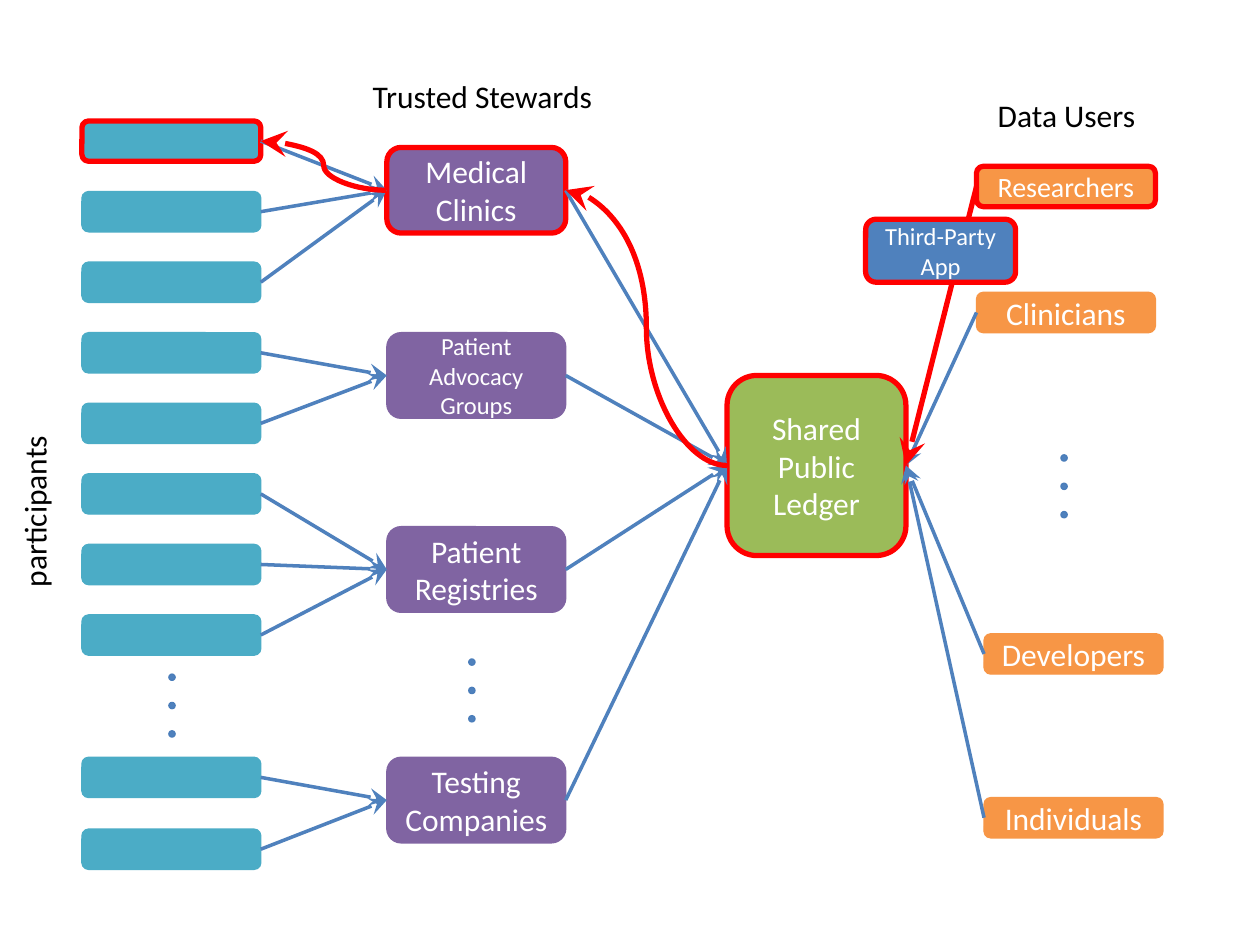
from lxml import etree
from pptx import Presentation
from pptx.dml.color import RGBColor
from pptx.enum.shapes import MSO_CONNECTOR, MSO_SHAPE
from pptx.enum.text import MSO_ANCHOR, PP_ALIGN
from pptx.oxml.ns import qn
from pptx.util import Inches, Pt

STRAIGHT, CURVE = MSO_CONNECTOR.STRAIGHT, MSO_CONNECTOR.CURVE
ROUND_RECT, OVAL = MSO_SHAPE.ROUNDED_RECTANGLE, MSO_SHAPE.OVAL
CENTER, MIDDLE = PP_ALIGN.CENTER, MSO_ANCHOR.MIDDLE

BLACK = RGBColor(0x00, 0x00, 0x00)
WHITE = RGBColor(0xFF, 0xFF, 0xFF)
RED = RGBColor(0xFF, 0x00, 0x00)
TEAL = RGBColor(0x4B, 0xAC, 0xC6)
PURPLE = RGBColor(0x80, 0x64, 0xA2)
GREEN = RGBColor(0x9B, 0xBB, 0x59)
ORANGE = RGBColor(0xF7, 0x96, 0x46)
BLUE = RGBColor(0x4F, 0x81, 0xBD)
DOT_EDGE = RGBColor(0x4A, 0x7D, 0xBA)

FONT = "Calibri"
BOX_W, ROW_H, STEWARD_H = 1.42, 0.32, 0.68
PARTICIPANT_X, STEWARD_X = 0.65, 3.07
LEFT_SITE, RIGHT_SITE = 1, 3

PARTICIPANT_TOPS = [0.96 + 0.56 * i for i in range(8)] + [6.01, 6.58]
# name, top, text size, highlighted, number of participants served
STEWARDS = [
    ("Medical Clinics", 1.17, 18, True, 3),
    ("Patient Advocacy Groups", 2.64, 14, False, 2),
    ("Patient Registries", 4.18, 18, False, 3),
    ("Testing Companies", 6.01, 18, False, 2),
]
# name, left, top, text size, highlighted
DATA_USERS = [
    ("Clinicians", 7.75, 2.32, 18, False),
    ("Developers", 7.81, 5.03, 18, False),
    ("Individuals", 7.81, 6.33, 18, False),
    ("Researchers", 7.75, 1.32, 16, True),
]


def style_text(p, size, color):
    for r in p.runs:
        r.font.name = FONT
        r.font.size = Pt(size)
        r.font.color.rgb = color


def add_filled(s, kind, x, y, w, h, fill, edge, edge_width=0.75):
    sp = s.shapes.add_shape(kind, Inches(x), Inches(y), Inches(w), Inches(h))
    sp.shadow.inherit = False
    sp.fill.solid()
    sp.fill.fore_color.rgb = fill
    sp.line.color.rgb = edge
    sp.line.width = Pt(edge_width)
    return sp


def add_box(s, x, y, w, h, fill, text="", size=18, highlighted=False):
    """Rounded box, outlined in red when it lies on the highlighted route."""
    edge, width = (RED, 3) if highlighted else (fill, 0.75)
    sp = add_filled(s, ROUND_RECT, x, y, w, h, fill, edge, width)
    if text:
        tf = sp.text_frame
        tf.text = text
        tf.word_wrap = True
        tf.vertical_anchor = MIDDLE
        p = tf.paragraphs[0]
        p.alignment = CENTER
        style_text(p, size, WHITE)
    return sp


def add_label(s, x, y, w, text, rotation=0):
    sp = s.shapes.add_textbox(Inches(x), Inches(y), Inches(w), Inches(0.4))
    sp.rotation = rotation
    tf = sp.text_frame
    tf.word_wrap = False
    tf.text = text
    style_text(tf.paragraphs[0], 18, BLACK)


def add_vertical_dots(s, x, y):
    for i in range(3):
        add_filled(s, OVAL, x, y + 0.225 * i, 0.05, 0.05, BLUE, DOT_EDGE)


def add_arrow(s, start, start_site, end, end_site, kind=STRAIGHT, highlighted=False):
    cx = s.shapes.add_connector(kind, 0, 0, 0, 0)
    cx.begin_connect(start, start_site)
    cx.end_connect(end, end_site)
    cx.line.color.rgb = RED if highlighted else BLUE
    cx.line.width = Pt(3 if highlighted else 2)
    etree.SubElement(cx.line._get_or_add_ln(), qn("a:tailEnd"),
                     type="stealth", w="lg", len="lg")
    etree.SubElement(cx._element.spPr, qn("a:effectLst"))


def main():
    prs = Presentation()
    prs.slide_width, prs.slide_height = Inches(10), Inches(7.5)
    s = prs.slides.add_slide(prs.slide_layouts[6])

    add_label(s, -0.47, 3.82, 1.48, "participants", rotation=270)
    add_label(s, 2.86, 0.56, 2.04, "Trusted Stewards")
    add_label(s, 7.82, 0.71, 1.31, "Data Users")
    for x, y in ((1.34, 5.35), (3.72, 5.23), (8.42, 3.61)):
        add_vertical_dots(s, x, y)

    participants = [
        add_box(s, PARTICIPANT_X, y, BOX_W, ROW_H, TEAL, highlighted=(i == 0))
        for i, y in enumerate(PARTICIPANT_TOPS)
    ]
    ledger = add_box(s, 5.77, 2.98, BOX_W, 1.43, GREEN,
                     "Shared Public Ledger", highlighted=True)

    stewards = []
    remaining = iter(participants)
    for name, y, size, highlighted, served in STEWARDS:
        steward = add_box(s, STEWARD_X, y, BOX_W, STEWARD_H, PURPLE,
                          name, size, highlighted)
        for _ in range(served):
            add_arrow(s, next(remaining), RIGHT_SITE, steward, LEFT_SITE)
        add_arrow(s, steward, RIGHT_SITE, ledger, LEFT_SITE)
        stewards.append(steward)

    for name, x, y, size, highlighted in DATA_USERS:
        user = add_box(s, x, y, BOX_W, ROW_H, ORANGE, name, size, highlighted)
        add_arrow(s, user, LEFT_SITE, ledger, RIGHT_SITE, highlighted=highlighted)
    add_box(s, 6.87, 1.74, 1.19, 0.5, BLUE, "Third-Party App", 14, True)

    for start, end in ((ledger, stewards[0]), (stewards[0], participants[0])):
        add_arrow(s, start, LEFT_SITE, end, RIGHT_SITE, CURVE, highlighted=True)

    prs.save("out.pptx")


if __name__ == "__main__":
    main()
